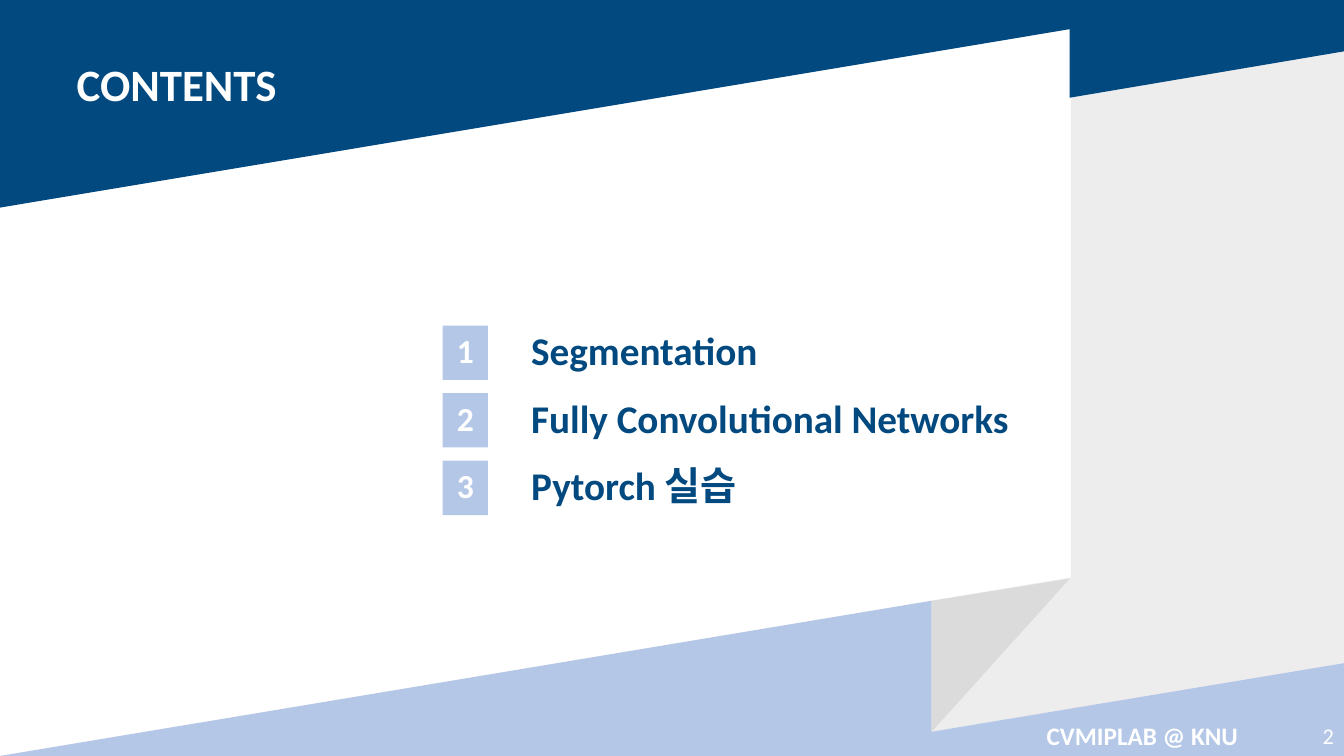
from dataclasses import dataclass

from pptx import Presentation
from pptx.dml.color import RGBColor
from pptx.enum import shapes, text
from pptx.util import Inches, Pt


@dataclass(frozen=True)
class Theme:
    """Colours, type sizes and font of the slide."""
    navy: str = "02497F"
    sky: str = "B4C7E7"
    pale: str = "EDEDED"
    fold: str = "DBDBDB"
    white: str = "FFFFFF"
    font: str = "Calibri"
    title: int = 32
    item: int = 28
    num: int = 24
    foot: int = 18
    page: int = 16


THEME = Theme()
ALIGN = text.PP_ALIGN
ANCHOR = text.MSO_ANCHOR
ITEMS = ("Segmentation", "Fully Convolutional Networks", "Pytorch 실습")
BANDS = (
    (THEME.pale, ((13.33, 0.51), (13.33, 6.59), (9.24, 7.26),
                  (9.24, 5.96), (10.62, 5.73), (10.62, 0.96))),
    (THEME.navy, ((0, 0), (13.33, 0), (13.33, 0.51), (10.61, 0.97),
                  (10.61, 0.29), (0, 2.06))),
    (THEME.sky, ((9.24, 5.96), (9.24, 7.26), (13.33, 6.58),
                 (13.33, 7.5), (0, 7.5))),
    (THEME.fold, ((10.61, 5.74), (9.24, 7.26), (9.24, 5.96))),
)


def paint(shape, color):
    """Give a shape a flat fill with no line or shadow."""
    shape.shadow.inherit = False
    shape.fill.solid()
    shape.fill.fore_color.rgb = RGBColor.from_string(color)
    shape.line.fill.background()


def add_band(slide, color, points):
    """Draw a filled polygon from points in inches."""
    spots = [(Inches(x), Inches(y)) for x, y in points]
    pen = slide.shapes.build_freeform(*spots[0], scale=1.0)
    pen.add_line_segments(spots[1:], close=True)
    paint(pen.convert_to_shape(), color)


def write(shape, words, size, color=THEME.white, bold=True,
          align=ALIGN.LEFT, anchor=ANCHOR.MIDDLE, wrap=True):
    """Set one styled paragraph in a shape."""
    frame = shape.text_frame
    frame.text = words
    frame.word_wrap = wrap
    frame.auto_size = text.MSO_AUTO_SIZE.NONE
    frame.vertical_anchor = anchor
    para = frame.paragraphs[0]
    para.alignment = align
    font = para.font
    font.name, font.size, font.bold = THEME.font, Pt(size), bold
    font.color.rgb = RGBColor.from_string(color)
    return para


def add_text(slide, box, words, size, **style):
    """Add a text box at left, top, width, height in inches."""
    shape = slide.shapes.add_textbox(*map(Inches, box))
    return write(shape, words, size, **style)


def add_item(slide, index, words):
    """Add one numbered line of the contents list."""
    top = 3.23 + 0.67 * index
    box = map(Inches, (4.39, top, 0.45, 0.54))
    tile = slide.shapes.add_shape(shapes.MSO_SHAPE.RECTANGLE, *box)
    paint(tile, THEME.sky)
    num = write(tile, str(index + 1), THEME.num, align=ALIGN.CENTER)
    line = add_text(slide, (5.17, top, 5.6, 0.54), words, THEME.item,
                    color=THEME.navy)
    num.line_spacing = line.line_spacing = 0.9


def set_title(slide, words):
    """Place the title above the bands."""
    title = slide.shapes.title
    title.left, title.top = Inches(0.66), Inches(0.51)
    title.width, title.height = Inches(2.21), Inches(0.64)
    write(title, words, THEME.title, anchor=ANCHOR.TOP, wrap=False)
    title.element.getparent().append(title.element)


def main():
    """Build and save the contents slide."""
    deck = Presentation()
    deck.slide_width, deck.slide_height = Inches(13.33), Inches(7.5)
    slide = deck.slides.add_slide(deck.slide_layouts[5])
    for color, points in BANDS:
        add_band(slide, color, points)
    set_title(slide, "CONTENTS")
    add_text(slide, (9.93, 7.1, 2.8, 0.4), "CVMIPLAB @ KNU", THEME.foot,
             align=ALIGN.CENTER)
    add_text(slide, (12.73, 7.1, 0.6, 0.4), "2", THEME.page, bold=False,
             align=ALIGN.RIGHT)
    for index, words in enumerate(ITEMS):
        add_item(slide, index, words)
    deck.save("out.pptx")


if __name__ == "__main__":
    main()
